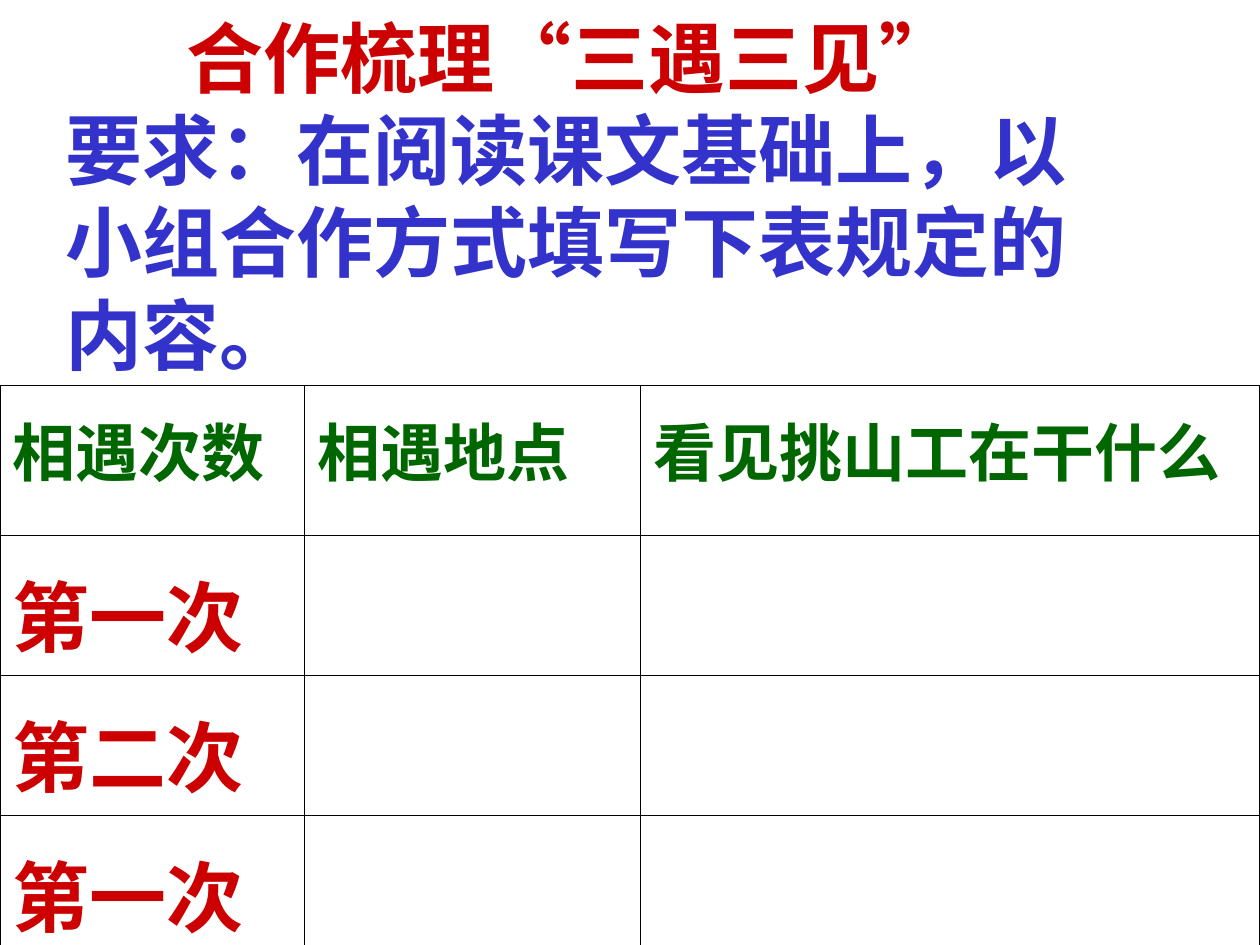
from lxml.etree import SubElement
from pptx import Presentation
from pptx.dml.color import RGBColor
from pptx.enum.text import MSO_ANCHOR
from pptx.oxml.ns import qn
from pptx.util import Cm, Pt

COLORS = {"red": "CC0000", "blue": "3333CC", "green": "006600", "line": "000000"}
FONT = "Times New Roman"
THIN, THICK = 0.45, 1.08

COLUMNS = [6.14, 6.77, 12.49]
ROWS = [3.02, 2.82, 2.82, 2.82]
HEADERS = ["相遇次数", "相遇地点", "看见挑山工在干什么"]
MEETINGS = ["第一次", "第二次", "第一次"]


class SlideBuilder:
    def __init__(self, slide):
        self.slide = slide

    def set_text(self, p, text, size, color):
        p.text = text
        p.font.name = FONT
        p.font.size = Pt(size)
        p.font.bold = True
        p.font.color.rgb = RGBColor.from_string(COLORS[color])

    def text_box(self, left, top, width, height, lines, size):
        """Add a text box from lines of (text, color, left indent in cm)."""
        box = self.slide.shapes.add_textbox(Cm(left), Cm(top), Cm(width), Cm(height))
        tf = box.text_frame
        tf.word_wrap = True
        tf.vertical_anchor = MSO_ANCHOR.MIDDLE
        for i, (text, color, indent) in enumerate(lines):
            p = tf.add_paragraph() if i else tf.paragraphs[0]
            p._p.get_or_add_pPr().set("marL", str(Cm(indent)))
            self.set_text(p, text, size, color)

    def border(self, cell, side, width):
        ln = SubElement(cell._tc.get_or_add_tcPr(), qn(f"a:ln{side}"), w=str(Pt(width)))
        fill = SubElement(ln, qn("a:solidFill"))
        SubElement(fill, qn("a:srgbClr"), val=COLORS["line"])

    def table(self, left, top, columns, rows):
        """Add an unfilled grid with thick outer and thin inner borders."""
        frame = self.slide.shapes.add_table(
            len(rows), len(columns), Cm(left), Cm(top), Cm(sum(columns)), Cm(sum(rows)))
        table = frame.table
        table.first_row = table.horz_banding = False
        for column, width in zip(table.columns, columns):
            column.width = Cm(width)
        for row, height in zip(table.rows, rows):
            row.height = Cm(height)
        last_row, last_col = len(rows) - 1, len(columns) - 1
        for r in range(len(rows)):
            for c in range(len(columns)):
                cell = table.cell(r, c)
                outer = {
                    "L": c == 0,
                    "R": c == last_col,
                    "T": r == 0 and c in (0, last_col),
                    "B": r == last_row,
                }
                for side, is_outer in outer.items():
                    self.border(cell, side, THICK if is_outer else THIN)
                cell.fill.background()
        return table

    def cell_text(self, cell, text, size, color, margin_top):
        cell.margin_top = Cm(margin_top)
        self.set_text(cell.text_frame.paragraphs[0], text, size, color)


def main():
    prs = Presentation()
    prs.slide_width, prs.slide_height = Cm(25.4), Cm(19.05)
    s = SlideBuilder(prs.slides.add_slide(prs.slide_layouts[6]))

    table = s.table(0, 7.77, COLUMNS, ROWS)
    for c, text in enumerate(HEADERS):
        s.cell_text(table.cell(0, c), text, 36, "green", 0.37)
    for r, text in enumerate(MEETINGS, start=1):
        s.cell_text(table.cell(r, 0), text, 44, "red", 0.44)

    s.text_box(1.07, 2.34, 21.59, 3.18, [
        ("合作梳理“三遇三见”", "red", 2.45),
        ("要求：在阅读课文基础上，以小组合作方式填写下表规定的内容。", "blue", 0),
    ], 44)

    prs.save("out.pptx")


if __name__ == "__main__":
    main()
